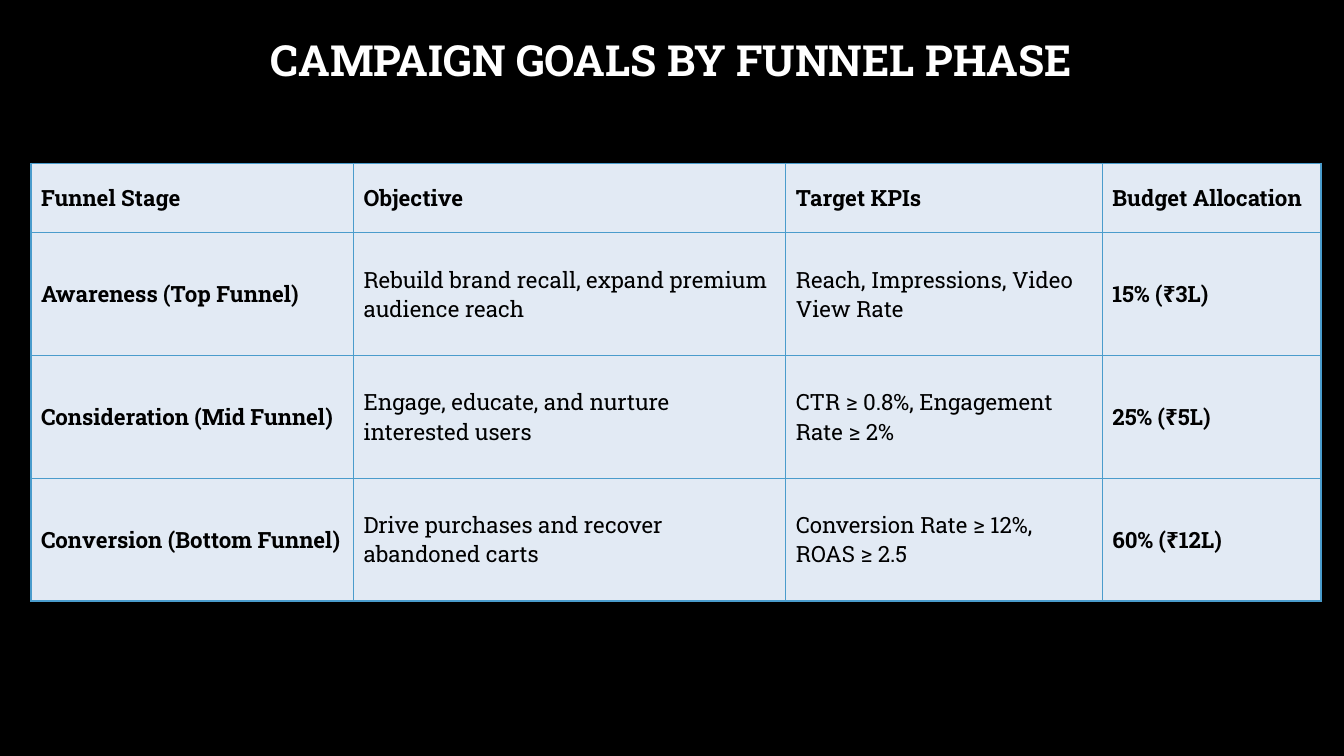
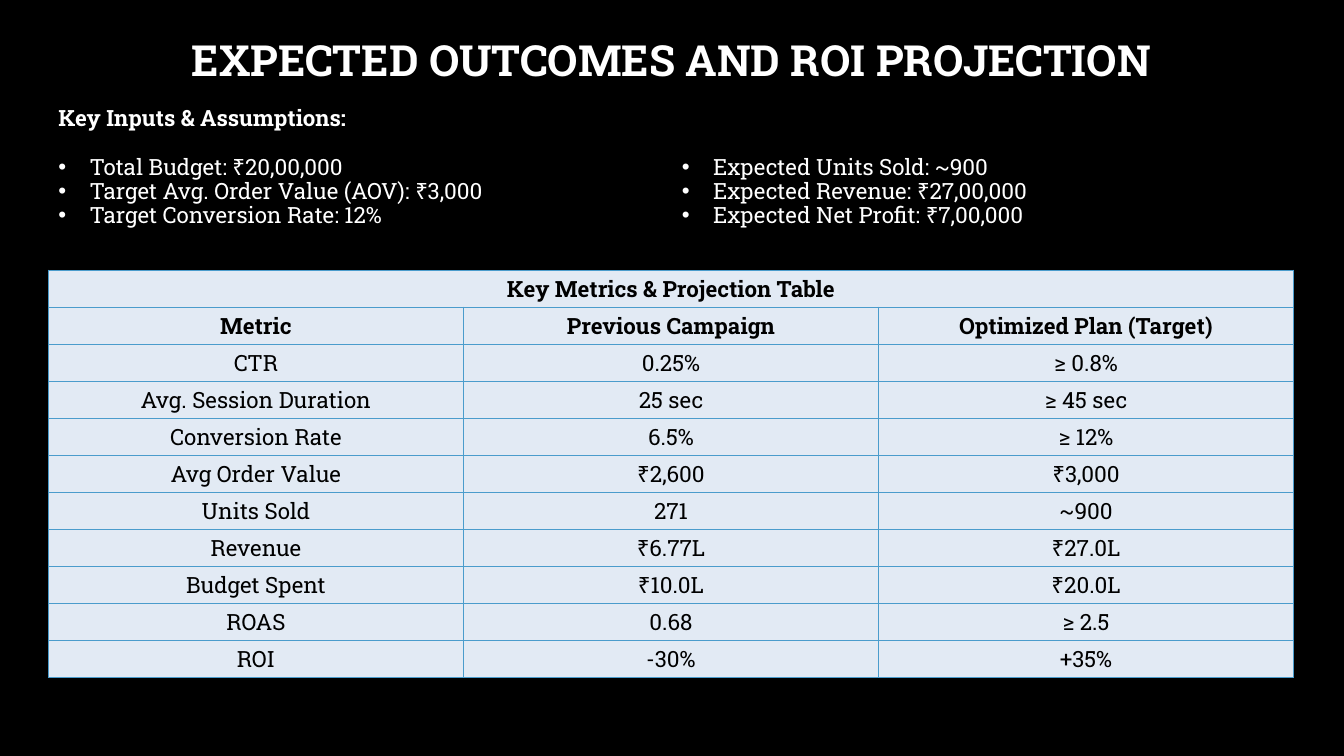
from lxml.etree import SubElement
from pptx import Presentation
from pptx.dml.color import RGBColor
from pptx.enum.text import MSO_ANCHOR, PP_ALIGN
from pptx.oxml.ns import qn
from pptx.util import Emu, Inches, Pt

WIDE, HIGH = Inches(13.33), Inches(7.5)
FONT = "Roboto Slab"
SIZE = 16
TIGHT = 0.9
HUES = {"back": "000000", "light": "FFFFFF", "ink": "000000", "cell": "E2EAF4", "rule": "4A9CCC"}

GOALS = [
    ["Funnel Stage", "Objective", "Target KPIs", "Budget Allocation"],
    ["Awareness (Top Funnel)", "Rebuild brand recall, expand premium audience reach",
     "Reach, Impressions, Video View Rate", "15% (₹3L)"],
    ["Consideration (Mid Funnel)", "Engage, educate, and nurture interested users",
     "CTR ≥ 0.8%, Engagement Rate ≥ 2%", "25% (₹5L)"],
    ["Conversion (Bottom Funnel)", "Drive purchases and recover abandoned carts",
     "Conversion Rate ≥ 12%, ROAS ≥ 2.5", "60% (₹12L)"],
]
INPUTS = [
    ["Total Budget: ₹20,00,000", "Target Avg. Order Value (AOV): ₹3,000",
     "Target Conversion Rate: 12%"],
    ["Expected Units Sold: ~900", "Expected Revenue: ₹27,00,000",
     "Expected Net Profit: ₹7,00,000"],
]
PLAN = [
    ["Key Metrics & Projection Table", "", ""],
    ["Metric", "Previous Campaign", "Optimized Plan (Target)"],
    ["CTR", "0.25%", "≥ 0.8%"],
    ["Avg. Session Duration", "25 sec", "≥ 45 sec"],
    ["Conversion Rate", "6.5%", "≥ 12%"],
    ["Avg Order Value", "₹2,600", "₹3,000"],
    ["Units Sold", "271", "~900"],
    ["Revenue", "₹6.77L", "₹27.0L"],
    ["Budget Spent", "₹10.0L", "₹20.0L"],
    ["ROAS", "0.68", "≥ 2.5"],
    ["ROI", "-30%", "+35%"],
]


def hue(name):
    return RGBColor.from_string(HUES[name])


def place(left, top, width, height):
    return [Emu(round(share * side / 100))
            for share, side in zip((left, top, width, height), (WIDE, HIGH, WIDE, HIGH))]


def add_run(para, text, tint, size=SIZE, bold=False):
    run = para.add_run()
    run.text = text
    run.font.name = FONT
    run.font.size = Pt(size)
    run.font.bold = bold
    run.font.color.rgb = hue(tint)


def add_dot(para):
    props = para._p.get_or_add_pPr()
    props.set("marL", str(Inches(0.31)))
    props.set("indent", str(-Inches(0.31)))
    SubElement(props, qn("a:buFont"), typeface="Arial")
    SubElement(props, qn("a:buChar"), char="•")


def add_text(slide, spot, lines, size=SIZE, bold=False, dots=False,
             align=PP_ALIGN.LEFT, anchor=MSO_ANCHOR.TOP):
    frame = slide.shapes.add_textbox(*place(*spot)).text_frame
    frame.word_wrap = True
    frame.vertical_anchor = anchor
    for spot_no, line in enumerate(lines):
        para = frame.add_paragraph() if spot_no else frame.paragraphs[0]
        para.alignment = align
        para.line_spacing = TIGHT
        if dots:
            add_dot(para)
        add_run(para, line, "light", size, bold)


def add_slide(deck, title):
    slide = deck.slides.add_slide(deck.slide_layouts[6])
    slide.background.fill.solid()
    slide.background.fill.fore_color.rgb = hue("back")
    add_text(slide, (1.65, 5.33, 96.6, 5.87), [title], size=30.6, bold=True,
             align=PP_ALIGN.CENTER, anchor=MSO_ANCHOR.MIDDLE)
    return slide


def style_cell(cell, pad):
    props = cell._tc.get_or_add_tcPr()
    for side in ("lnL", "lnR", "lnT", "lnB"):
        line = SubElement(props, qn(f"a:{side}"), w=str(Pt(1)))
        SubElement(SubElement(line, qn("a:solidFill")), qn("a:srgbClr"), val=HUES["rule"])
    cell.fill.solid()
    cell.fill.fore_color.rgb = hue("cell")
    cell.vertical_anchor = MSO_ANCHOR.MIDDLE
    cell.margin_top = cell.margin_bottom = Inches(pad)


def split(parts, sizes, total):
    for part, size in zip(parts, sizes):
        yield part, Emu(round(total * size / sum(sizes)))


def add_grid(slide, spot, data, cols, rows, strong, align=PP_ALIGN.LEFT, pad=0.05):
    box = place(*spot)
    grid = slide.shapes.add_table(len(rows), len(cols), *box).table
    grid.first_row = grid.horz_banding = False
    for col, width in split(grid.columns, cols, box[2]):
        col.width = width
    for row, height in split(grid.rows, rows, box[3]):
        row.height = height
    for r, line in enumerate(data):
        for c, text in enumerate(line):
            cell = grid.cell(r, c)
            style_cell(cell, pad)
            if text:
                para = cell.text_frame.paragraphs[0]
                para.alignment = align
                add_run(para, text, "ink", bold=strong(r, c))
    return grid


def add_goals(deck):
    slide = add_slide(deck, "CAMPAIGN GOALS BY FUNNEL PHASE")
    add_grid(slide, (2.3, 21.6, 96, 57.9), GOALS, [3.2, 4.29, 3.14, 2.17],
             [0.69] + [1.22] * 3, lambda r, c: r == 0 or c in (0, 3))


def add_plan(deck):
    slide = add_slide(deck, "EXPECTED OUTCOMES AND ROI PROJECTION")
    add_text(slide, (3.6, 13.5, 50, 4.9), ["Key Inputs & Assumptions:"], bold=True)
    for left, lines in zip((3.6, 50), INPUTS):
        add_text(slide, (left, 20, 46.4, 12.1), lines, dots=True)
    grid = add_grid(slide, (3.6, 35.73, 92.65, 53.9), PLAN, [1] * 3, [1] * len(PLAN),
                    lambda r, c: r < 2, PP_ALIGN.CENTER, pad=0.03)
    grid.cell(0, 0).merge(grid.cell(0, 2))


def main():
    deck = Presentation()
    deck.slide_width, deck.slide_height = WIDE, HIGH
    add_goals(deck)
    add_plan(deck)
    deck.save("out.pptx")


if __name__ == "__main__":
    main()
